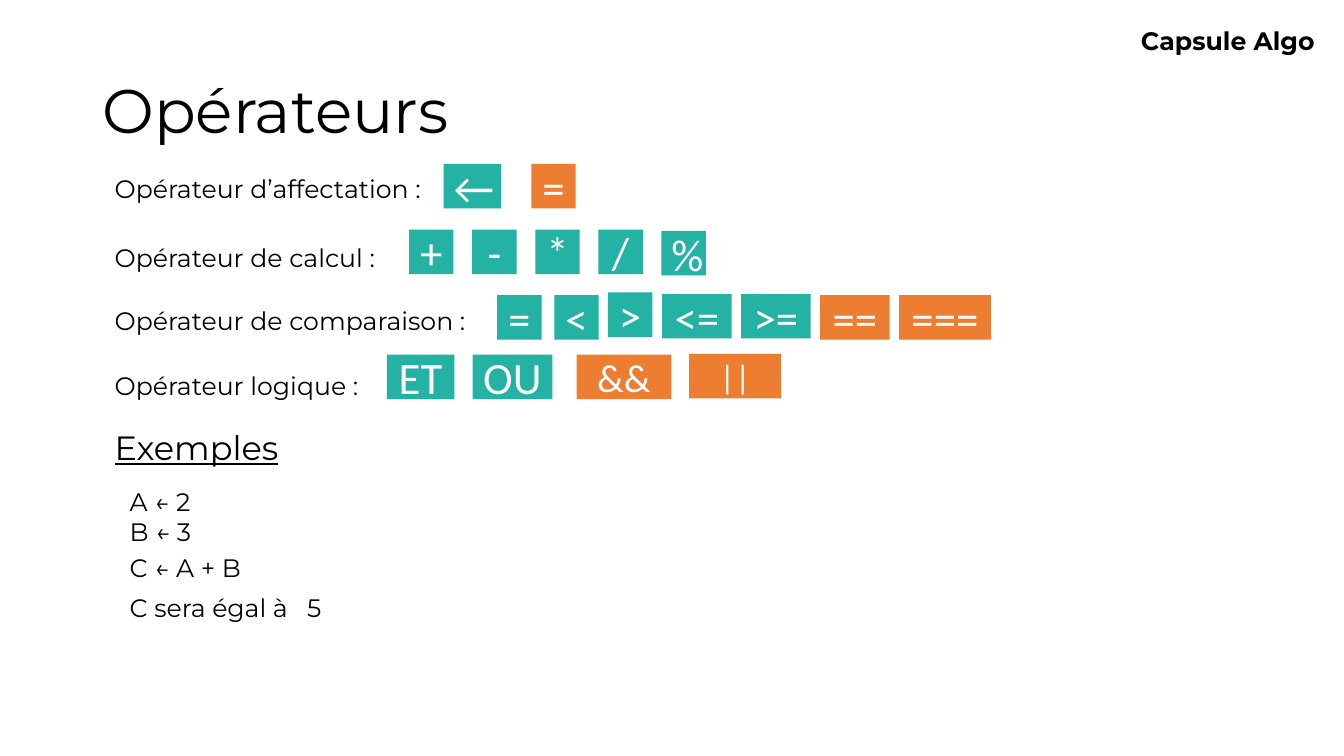
from dataclasses import dataclass

from pptx import Presentation
from pptx import util as u
from pptx.dml.color import RGBColor
from pptx.enum import shapes, text

COLOURS = {"algo": "23B2A4", "code": "ED7D31", "ink": "000000", "symbol": "FFFFFF"}
HEADING_FONT = "Montserrat"
SYMBOL_FONT = "Calibri"
TILE_SIDE = 1.12
LABEL_LEFT = 2.64
EXAMPLE_LEFT = 3.02
LINE_HEIGHT = 1.02
CALCUL_LEFT = 10.31
CALCUL_STEP = 1.59


@dataclass(frozen=True)
class Operator:
    symbol: str
    left: float
    top: float
    width: float = TILE_SIDE
    family: str = "algo"
    size: int = 32


@dataclass(frozen=True)
class Label:
    lines: tuple[str, ...]
    left: float
    top: float
    width: float
    height: float = LINE_HEIGHT
    size: int = 18
    bold: bool = False
    underline: bool = False
    align: text.PP_ALIGN = text.PP_ALIGN.LEFT


AFFECTATION = [
    Operator("←", 11.18, 4.13, 1.45),
    Operator("=", 13.39, 4.13, family="code"),
]
CALCUL = [
    Operator(symbol, CALCUL_LEFT + rank * CALCUL_STEP, 5.82 if symbol == "%" else 5.79)
    for rank, symbol in enumerate("+-*/%")
]
COMPARAISON = [
    Operator("=", 12.53, 7.44),
    Operator("<", 13.97, 7.44),
    Operator(">", 15.32, 7.37),
    Operator("<=", 16.69, 7.41, 1.75),
    Operator(">=", 18.68, 7.41, 1.75),
    Operator("==", 20.67, 7.44, 1.75, "code"),
    Operator("===", 22.66, 7.44, 2.31, "code"),
]
LOGIQUE = [
    Operator("ET", 9.75, 8.94, 1.7),
    Operator("OU", 11.91, 8.94, 2.01),
    Operator("&&", 14.53, 8.94, 2.39, "code", 28),
    Operator("||", 17.37, 8.92, 2.31, "code", 24),
]
LABELS = [
    Label(("Capsule Algo",), 27.28, 0.51, 6.1, bold=True, align=text.PP_ALIGN.RIGHT),
    Label(("Opérateur d’affectation :",), LABEL_LEFT, 4.24, 12.22, 1.8),
    Label(("Opérateur de calcul :",), LABEL_LEFT, 5.99, 8.64, 1.8),
    Label(("Opérateur de comparaison :",), LABEL_LEFT, 7.58, 10.44),
    Label(("Opérateur logique :",), LABEL_LEFT, 9.21, 7.75),
    Label(("Exemples",), LABEL_LEFT, 10.64, 20.02, 1.27, 24, underline=True),
    Label(("A ← 2", "B ← 3"), EXAMPLE_LEFT, 12.12, 7.8, 1.8),
    Label(("C ← A + B",), EXAMPLE_LEFT, 13.79, 6.68),
    Label(("C sera égal à",), EXAMPLE_LEFT, 14.81, 4.93),
    Label(("5",), 7.49, 14.81, 1.32),
]


def add_run(paragraph, words: str, font_name: str, size: int, colour: str):
    run = paragraph.add_run()
    run.text = words
    run.font.name = font_name
    run.font.size = u.Pt(size)
    run.font.color.rgb = RGBColor.from_string(COLOURS[colour])
    return run


def draw_title(slide, words: str) -> None:
    title = slide.shapes.title
    title.left, title.top = u.Cm(2.33), u.Cm(1.01)
    title.width, title.height = u.Cm(29.21), u.Cm(3.68)
    title.text_frame.vertical_anchor = text.MSO_ANCHOR.MIDDLE
    heading = title.text_frame.paragraphs[0]
    heading.alignment = text.PP_ALIGN.LEFT
    heading.line_spacing = 0.9
    add_run(heading, words, HEADING_FONT, 44, "ink")


def draw_operator(slide, operator: Operator) -> None:
    tile = slide.shapes.add_shape(
        shapes.MSO_SHAPE.RECTANGLE,
        u.Cm(operator.left), u.Cm(operator.top), u.Cm(operator.width), u.Cm(TILE_SIDE),
    )
    tile.shadow.inherit = False
    tile.fill.solid()
    tile.fill.fore_color.rgb = RGBColor.from_string(COLOURS[operator.family])
    tile.line.fill.background()
    tile.text_frame.vertical_anchor = text.MSO_ANCHOR.MIDDLE
    symbol = tile.text_frame.paragraphs[0]
    symbol.alignment = text.PP_ALIGN.CENTER
    add_run(symbol, operator.symbol, SYMBOL_FONT, operator.size, "symbol")


def draw_label(slide, label: Label) -> None:
    frame = slide.shapes.add_textbox(
        u.Cm(label.left), u.Cm(label.top), u.Cm(label.width), u.Cm(label.height)
    ).text_frame
    frame.word_wrap = True
    frame.auto_size = text.MSO_AUTO_SIZE.SHAPE_TO_FIT_TEXT
    for rank, line in enumerate(label.lines):
        paragraph = frame.add_paragraph() if rank else frame.paragraphs[0]
        paragraph.alignment = label.align
        run = add_run(paragraph, line, HEADING_FONT, label.size, "ink")
        run.font.bold = label.bold
        run.font.underline = label.underline


def main() -> None:
    deck = Presentation()
    deck.slide_width, deck.slide_height = u.Cm(33.87), u.Cm(19.05)
    slide = deck.slides.add_slide(deck.slide_layouts.get_by_name("Title Only"))
    draw_title(slide, "Opérateurs")
    for label in LABELS:
        draw_label(slide, label)
    for operator in AFFECTATION + CALCUL + COMPARAISON + LOGIQUE:
        draw_operator(slide, operator)
    deck.save("out.pptx")


if __name__ == "__main__":
    main()
